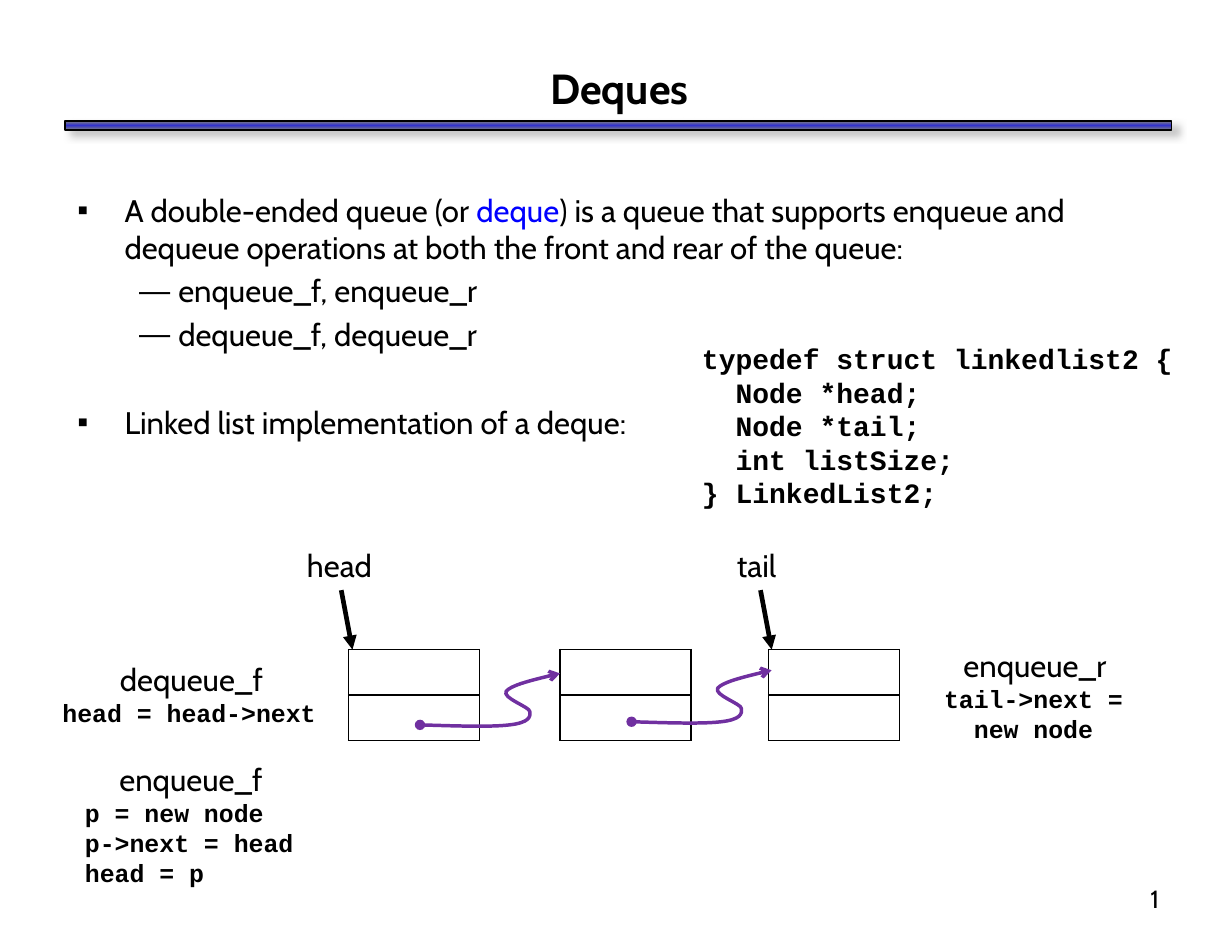
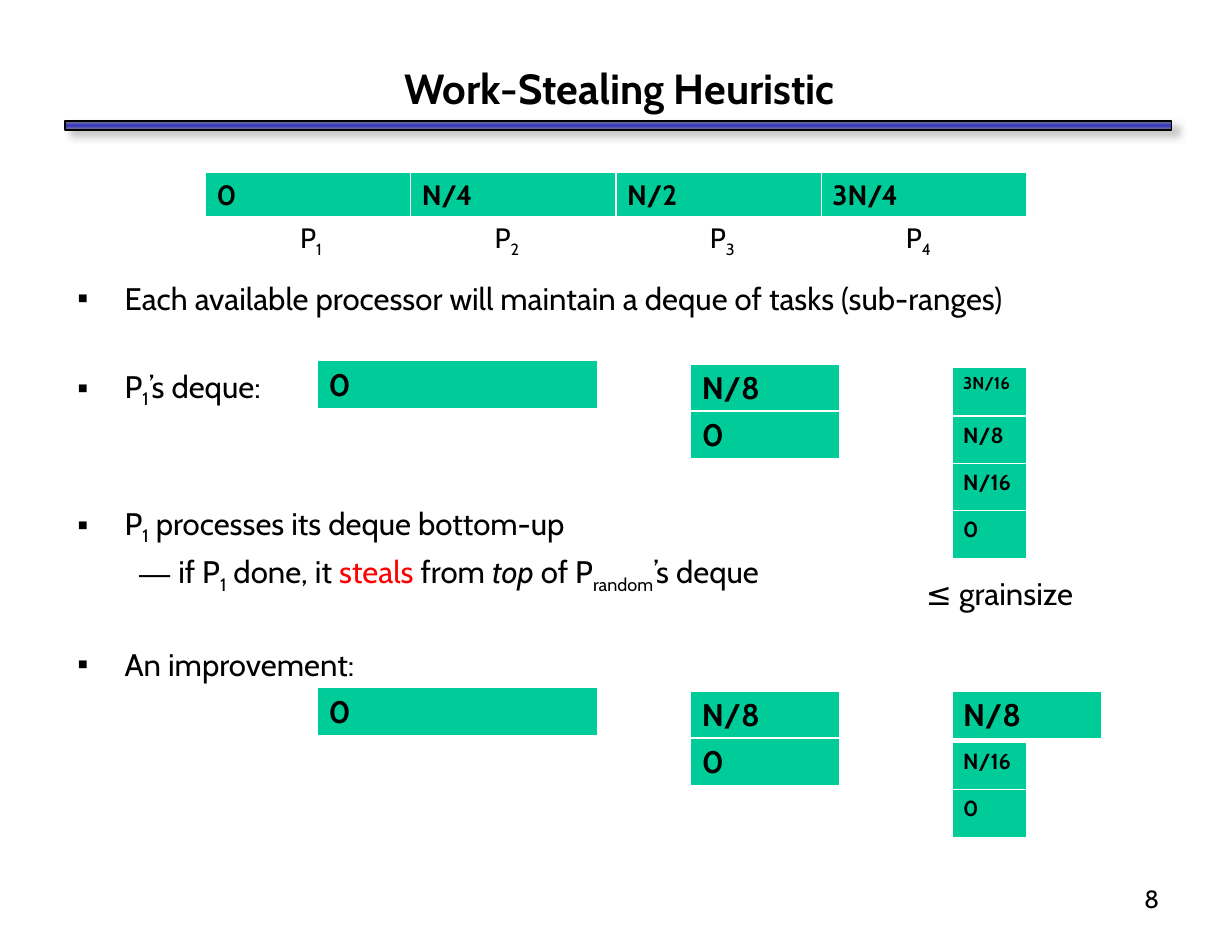
from dataclasses import dataclass

import lxml.etree
import pptx
import pptx.dml.color
import pptx.enum.shapes
import pptx.enum.text
import pptx.oxml
import pptx.oxml.ns
import pptx.util

Pt = pptx.util.Pt
RGB = pptx.dml.color.RGBColor
ALIGN = pptx.enum.text.PP_ALIGN
ANCHOR = pptx.enum.text.MSO_ANCHOR
AUTOSIZE = pptx.enum.text.MSO_AUTO_SIZE
qn = pptx.oxml.ns.qn

# Shared colours, fonts and measures (points)
BLACK, WHITE = RGB(0, 0, 0), RGB(255, 255, 255)
BLUE, RED, PURPLE = RGB(0, 0, 255), RGB(255, 0, 0), RGB(0x70, 0x30, 0xA0)
GREEN = RGB(0, 0xCC, 0x99)
BAND_EDGE, BAND_CORE, BAND_SHADOW = RGB(128, 128, 128), RGB(0x33, 0x33, 0xCC), RGB(0xB2, 0xB2, 0xB2)
SANS, MONO = "Cabin", "Courier New"
MARGIN = 41.8
BODY_SIZE = 20
ROW_PITCH = 28.4        # one body line with its spacing
PARAGRAPH_GAP = 4
STACK_PITCH = 30.24
DEQUE_ROW = 31.7
BULLETS = (("▪", 30.24, -30.24), ("—", 64.8, -25.2))


@dataclass(frozen=True)
class Run:
    text: str
    color: RGB = BLACK
    italic: bool = False
    sub: bool = False


@dataclass(frozen=True)
class Item:
    """A bullet; skip is the number of free rows above it."""
    runs: tuple
    level: int = 0
    skip: int = 0


@dataclass(frozen=True)
class Stack:
    """Green deque entries, top to bottom."""
    left: float
    top: float
    width: float
    labels: tuple
    size: float = 20


@dataclass(frozen=True)
class Operation:
    """A deque operation and its code, given as (indent, text) lines."""
    left: float
    top: float
    width: float
    height: float
    name: str
    code: tuple


def element(parent, tag: str, **attributes: str):
    child = lxml.etree.SubElement(parent, qn(tag))
    for key, value in attributes.items():
        child.set(key, value)
    return child


def write(paragraph, text, *, size: float, font: str = SANS, bold: bool = False,
          align=ALIGN.LEFT, indent: int = 0) -> None:
    """Fill a paragraph with a string or runs; indent counts mono characters."""
    paragraph.alignment = align
    if indent:
        paragraph._p.get_or_add_pPr().set("marL", str(Pt(indent * 0.6 * size)))
    for part in (Run(text),) if isinstance(text, str) else text:
        run = paragraph.add_run()
        run.text = part.text
        run.font.name, run.font.size = font, Pt(size)
        run.font.bold, run.font.italic = bold, part.italic
        run.font.color.rgb = part.color
        if part.sub:
            run.font._element.set("baseline", "-25000")


def next_paragraph(frame):
    first = frame.paragraphs[0]
    return frame.add_paragraph() if first.runs else first


def text_box(slide, left: float, top: float, width: float, height: float):
    frame = slide.shapes.add_textbox(Pt(left), Pt(top), Pt(width), Pt(height)).text_frame
    frame.word_wrap = False
    frame.auto_size = AUTOSIZE.SHAPE_TO_FIT_TEXT
    return frame


def place(holder, left: float, top: float, width: float, height: float):
    """Move a placeholder or box and give it the shared insets."""
    holder.left, holder.top, holder.width, holder.height = map(Pt, (left, top, width, height))
    frame = holder.text_frame
    frame.word_wrap, frame.auto_size = True, AUTOSIZE.NONE
    frame.margin_left = frame.margin_right = Pt(8)
    frame.margin_top = frame.margin_bottom = Pt(4.3)
    return frame


def title_band(slide) -> None:
    band = slide.shapes.add_shape(pptx.enum.shapes.MSO_SHAPE.RECTANGLE,
                                  Pt(MARGIN), Pt(77.8), Pt(711.4), Pt(5.8))
    band.line.color.rgb, band.line.width = BLACK, Pt(1)
    band.fill.gradient()
    band.fill.gradient_angle = 270
    stops = band._element.spPr.find(qn("a:gradFill")).find(qn("a:gsLst"))
    for stop in list(stops):
        stops.remove(stop)
    for position, color in ((0, BAND_EDGE), (50000, BAND_CORE), (100000, BAND_EDGE)):
        element(element(stops, "a:gs", pos=str(position)), "a:srgbClr", val=str(color))
    band.shadow.inherit = False
    effects = band._element.spPr.find(qn("a:effectLst"))
    shadow = element(effects, "a:outerShdw", blurRad=str(Pt(5)), dist=str(Pt(5)),
                     dir=str(37 * 60000), algn="ctr", rotWithShape="0")
    element(element(shadow, "a:srgbClr", val=str(BAND_SHADOW)), "a:alpha", val="75000")


def new_slide(deck, title: str, number: str, items: tuple):
    """Title, band, bullets and page number."""
    slide = deck.slides.add_slide(deck.slide_layouts[1])
    title_band(slide)
    heading = place(slide.shapes.title, MARGIN, 36, 712.8, 41)
    heading.vertical_anchor = ANCHOR.MIDDLE
    write(heading.paragraphs[0], title, size=27, bold=True, align=ALIGN.CENTER)

    body = place(slide.placeholders[1], MARGIN, 90, 710.6, 468)
    body.vertical_anchor = ANCHOR.TOP
    body.margin_top = Pt(4.3 + items[0].skip * ROW_PITCH)
    for index, item in enumerate(items):
        paragraph = next_paragraph(body)
        paragraph.level = item.level
        paragraph.space_before = Pt(PARAGRAPH_GAP + item.skip * ROW_PITCH if index else 0)
        write(paragraph, item.runs, size=BODY_SIZE)
        mark, left, hanging = BULLETS[item.level]
        properties = paragraph._p.get_or_add_pPr()
        properties.set("marL", str(Pt(left)))
        properties.set("indent", str(Pt(hanging)))
        element(properties, "a:buChar", char=mark)

    page = place(slide.shapes.add_textbox(0, 0, 0, 0), 588.2, 563.8, 165, 41)
    write(page.paragraphs[0], number, size=16, align=ALIGN.RIGHT)
    return slide


def grid(slide, left: float, top: float, width: float, row_height: float, rows: tuple,
         *, size: float = 18, fill=None, border=BLACK, bottom: float = 1) -> None:
    """A bordered table; rows holds the labels of each row."""
    table = slide.shapes.add_table(len(rows), len(rows[0]), Pt(left), Pt(top), Pt(width),
                                   Pt(row_height * len(rows))).table
    table.first_row = table.horz_banding = False
    for r, labels in enumerate(rows):
        for c, label in enumerate(labels):
            cell = table.cell(r, c)
            properties = cell._tc.get_or_add_tcPr()
            for side in "LRTB":
                line = element(properties, "a:ln" + side, w=str(Pt(bottom if side == "B" else 1)))
                element(element(line, "a:solidFill"), "a:srgbClr", val=str(border))
            if fill is None:
                cell.fill.background()
            else:
                cell.fill.solid()
                cell.fill.fore_color.rgb = fill
            if label:
                write(cell.text_frame.paragraphs[0], label, size=size, bold=True)


def draw_stack(slide, stack: Stack) -> None:
    for index, label in enumerate(stack.labels):
        grid(slide, stack.left, stack.top + index * STACK_PITCH, stack.width, DEQUE_ROW,
             ((label,),), size=stack.size, fill=GREEN, border=WHITE, bottom=3)


def style_line(shape, color: RGB, width: float, tail: str, head: str = "none") -> None:
    shape.line.color.rgb, shape.line.width = color, Pt(width)
    line = shape.line._get_or_add_ln()
    element(line, "a:headEnd", type=head)
    element(line, "a:tailEnd", type=tail)


def pointer(slide, label: str, center: float, width: float) -> None:
    """A named pointer with its arrow to a node."""
    arrow = slide.shapes.add_connector(pptx.enum.shapes.MSO_CONNECTOR.STRAIGHT, Pt(center),
                                       Pt(379.4), Pt(center + 7.2), Pt(417.6))
    style_line(arrow, BLACK, 3, "triangle")
    element(arrow._element.spPr, "a:effectLst")
    write(text_box(slide, center - width / 2, 347.8, width, 31.7).paragraphs[0],
          label, size=BODY_SIZE)


# Bezier points of a link, relative to its start
LINK = ((23, 0.7), (46, 1.4), (57.6, 0), (69.8, -1.4), (71.3, -5), (70.6, -8.6),
        (70.6, -11.5), (52.6, -17.3), (55.4, -21.6), (58.3, -25.2), (74.2, -29.5), (90, -33.1))


def next_link(slide, left: float, top: float) -> None:
    builder = slide.shapes.build_freeform(Pt(left), Pt(top))
    builder.add_line_segments([(Pt(left + x), Pt(top + y)) for x, y in LINK], close=False)
    link = builder.convert_to_shape()
    outline = next(link._element.iter(qn("a:path")))
    segments = outline.findall(qn("a:lnTo"))
    for start in range(0, len(segments), 3):
        curve = element(outline, "a:cubicBezTo")
        for segment in segments[start:start + 3]:
            curve.append(segment[0])
            outline.remove(segment)
    link.fill.background()
    link.shadow.inherit = False
    style_line(link, PURPLE, 2.25, "arrow", "oval")


def draw_operation(slide, operation: Operation) -> None:
    frame = text_box(slide, operation.left, operation.top, operation.width, operation.height)
    write(frame.paragraphs[0], operation.name, size=BODY_SIZE, align=ALIGN.CENTER)
    for indent, code in operation.code:
        write(next_paragraph(frame), code, size=16, font=MONO, bold=True, indent=indent)


deck = pptx.Presentation()
deck.slide_width, deck.slide_height = Pt(792), Pt(612)

# Slide: deques
deques = new_slide(deck, "Deques", "1", (
    Item((Run("A double-ended queue (or "), Run("deque", BLUE),
          Run(") is a queue that supports enqueue and dequeue operations "
              "at both the front and rear of the queue:")), skip=1),
    Item((Run("enqueue_f, enqueue_r"),), level=1),
    Item((Run("dequeue_f, dequeue_r"),), level=1),
    Item((Run("Linked list implementation of a deque:"),), skip=1),
))
for node_left in (224, 360, 494):
    grid(deques, node_left, 417.6, 84.2, 29.3, (("",), ("",)))
pointer(deques, "head", 219.4, 58.3)
pointer(deques, "tail", 488.9, 44.6)
for link_start in ((270, 466), (406, 464)):
    next_link(deques, *link_start)
for operation in (
    Operation(599.8, 411.8, 131, 70.6, "enqueue_r", ((0, "tail->next ="), (2, "new node"))),
    Operation(33.1, 421.2, 180, 51.1, "dequeue_f", ((0, "head = head->next"),)),
    Operation(47.5, 485.3, 150.5, 90, "enqueue_f",
              ((0, "p = new node"), (0, "p->next = head"), (0, "head = p"))),
):
    draw_operation(deques, operation)
struct = text_box(deques, 444.2, 216, 318.2, 116.6)
for indent, code in ((0, "typedef struct linkedlist2 {"), (2, "Node *head;"),
                     (2, "Node *tail;"), (2, "int listSize;"), (0, "} LinkedList2;")):
    write(next_paragraph(struct), code, size=18, font=MONO, bold=True, indent=indent)

# Slide: work stealing
P1 = (Run("P"), Run("1", sub=True))
stealing = new_slide(deck, "Work-Stealing Heuristic", "8", (
    Item((Run("Each available processor will maintain a deque of tasks (sub-ranges)"),), skip=3),
    Item((*P1, Run("’s deque:")), skip=1),
    Item((*P1, Run(" processes its deque bottom-up")), skip=2),
    Item((Run("if P"), Run("1", sub=True), Run(" done, it "), Run("steals", RED),
          Run(" from "), Run("top", italic=True), Run(" of P"),
          Run("random", sub=True), Run("’s deque")), level=1),
    Item((Run("An improvement:"),), skip=1),
))
grid(stealing, 132, 110.9, 528, 29.5, (("0", "N/4", "N/2", "3N/4"),),
     fill=GREEN, border=WHITE, bottom=3)
for processor, label_left in enumerate((185.8, 311, 449.3, 575.3), start=1):
    write(text_box(stealing, label_left, 138.5, 31, 28.8).paragraphs[0],
          (Run("P"), Run(str(processor), sub=True)), size=18)

# Deque of the first processor, then its improved form
WHOLE, HALF, QUARTER = (204, 180), (444, 96), (612, 48)
for (left, width), top, labels, size in (
    (WHOLE, 231.8, ("0",), 20),
    (HALF, 234, ("N/8", "0"), 20),
    (QUARTER, 236.2, ("3N/16",), 11),
    (QUARTER, 267.8, ("N/8", "N/16", "0"), 14),
    (WHOLE, 442.1, ("0",), 20),
    (HALF, 444.2, ("N/8", "0"), 20),
    (QUARTER, 477.4, ("N/16", "0"), 14),
    ((QUARTER[0], HALF[1]), 444.2, ("N/8",), 20),
):
    draw_stack(stealing, Stack(left, top, width, labels, size))
write(text_box(stealing, 588.2, 365.8, 111.6, 31.7).paragraphs[0], "≤ grainsize", size=BODY_SIZE)

deck.save("out.pptx")
